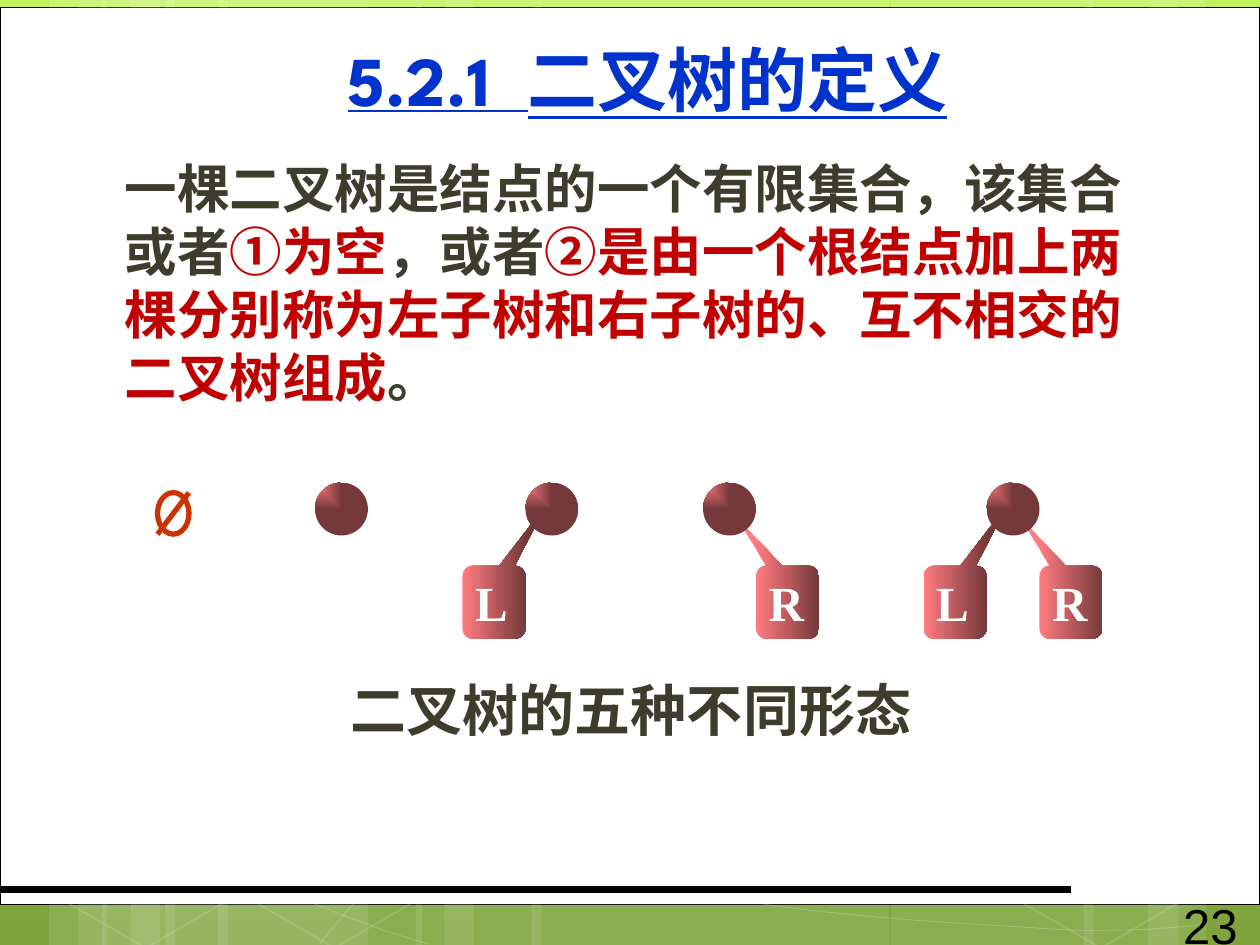
from lxml import etree
from pptx import Presentation
from pptx.dml.color import RGBColor
from pptx.enum.shapes import MSO_CONNECTOR, MSO_SHAPE
from pptx.enum.text import MSO_ANCHOR, MSO_AUTO_SIZE, PP_ALIGN
from pptx.oxml import parse_xml
from pptx.oxml.ns import nsdecls, qn
from pptx.util import Inches, Pt

RECT, OVAL, HEX = MSO_SHAPE.RECTANGLE, MSO_SHAPE.OVAL, MSO_SHAPE.HEXAGON
CALL = MSO_SHAPE.ROUNDED_RECTANGULAR_CALLOUT
LINE = MSO_CONNECTOR.STRAIGHT
MID, TOP = MSO_ANCHOR.MIDDLE, MSO_ANCHOR.TOP
CENTER, RIGHT, LEFT = PP_ALIGN.CENTER, PP_ALIGN.RIGHT, PP_ALIGN.LEFT
FIXED = MSO_AUTO_SIZE.NONE
SERIF = "Times New Roman"
INK, RED, WHITE, RUST = "3E3D2D", "C00000", "FFFFFF", "CC3300"
ROSE = [(0, "FF7C80"), (100, "76393B")]
LIME = [(0, "C2F35F"), (62, "92BE3F"), (100, "80A33D")]
NODE = 0.42
BOX_TOP, BALL_TOP = 4.49, 3.83
SIDES = {"L": ((0.819, -1.318, 0.167), 0.46), "R": ((-0.83, -1.188, 0.167), 0.48)}
STRIPES = [(1.31, 1.61), (0.39, 0.46), (0.62, 0.77), (1.73, 1.62), (0.81, 0.46),
           (1.04, 0.77), (7.07, 1.61), (9.11, 0.46), (8.6, 0.76), (4.22, 2.84),
           (3.3, 0.46), (3.53, 0.77)]
CURVES = [
    [(0.36, 6.17), (1.47, 6.72), (2.58, 7.27), (3.39, 7.49)],
    [(0.37, 5.78), (0.66, 5.89), (0.95, 6), (1.49, 6.16), (2.02, 6.31),
     (2.82, 6.56), (3.59, 6.73), (4.36, 6.9), (5.33, 7.08), (6.09, 7.18),
     (6.85, 7.29), (7.67, 7.33), (8.16, 7.36), (8.64, 7.4), (8.77, 7.38),
     (9.01, 7.38), (9.24, 7.37), (9.41, 7.35), (9.58, 7.34)],
    [(2.54, 7.49), (2.7, 7.29), (2.86, 7.09), (3.09, 6.91)],
]


def color(text):
    """Turn a hex string into a colour."""
    return RGBColor.from_string(text)


def fade(part, alpha):
    """Give the colours under an element an opacity in percent."""
    for tone in part.iter(qn("a:srgbClr")):
        etree.SubElement(tone, qn("a:alpha")).set("val", str(alpha * 1000))


def blend(fill, props, stops, way):
    """Fill with a gradient; way is its direction element."""
    fill.solid()
    marks = "".join(f'<a:gs pos="{at * 1000}"><a:srgbClr val="{tone}"/></a:gs>'
                    for at, tone in stops)
    grad = parse_xml(f'<a:gradFill {nsdecls("a")} rotWithShape="1">'
                     f'<a:gsLst>{marks}</a:gsLst>{way}</a:gradFill>')
    props.replace(props.find(qn("a:solidFill")), grad)


def style(shape, fill=None, line=None, width=1):
    """Set plain fill and line without a shadow."""
    shape.shadow.inherit = False
    if fill:
        shape.fill.solid()
        shape.fill.fore_color.rgb = color(fill)
    else:
        shape.fill.background()
    if line:
        shape.line.color.rgb = color(line)
        shape.line.width = Pt(width)
    else:
        shape.line.fill.background()


def add_shape(shapes, kind, x, y, w, h, fill=None, line=None, width=1):
    """Add a styled preset shape."""
    shape = shapes.add_shape(kind, Inches(x), Inches(y), Inches(w), Inches(h))
    style(shape, fill, line, width)
    return shape


def add_line(shapes, x1, y1, x2, y2, tone, width):
    """Add a straight line."""
    line = shapes.add_connector(LINE, Inches(x1), Inches(y1), Inches(x2), Inches(y2))
    line.line.color.rgb = color(tone)
    line.line.width = Pt(width)
    etree.SubElement(line._element.spPr, qn("a:effectLst"))


def add_curve(shapes, points):
    """Add a faint line through a chain of cubic arcs."""
    dots = []
    for i in range(0, len(points) - 1, 3):
        arc = points[i:i + 4]
        for step in range(1, 9):
            t = step / 8
            parts = ((1 - t) ** 3, 3 * t * (1 - t) ** 2, 3 * t * t * (1 - t), t ** 3)
            dots.append(tuple(Inches(sum(k * p[axis] for k, p in zip(parts, arc)))
                              for axis in (0, 1)))
    x, y = points[0]
    pen = shapes.build_freeform(Inches(x), Inches(y))
    pen.add_line_segments(dots, close=False)
    curve = pen.convert_to_shape()
    style(curve, None, WHITE, 0.5)
    fade(curve._element.spPr, 20)


def write(shape, runs, size, font=SERIF, bold=True, align=CENTER, anchor=TOP,
          wrap=True):
    """Write one paragraph of (text, colour) runs."""
    frame = shape.text_frame
    frame.auto_size, frame.word_wrap = FIXED, wrap
    frame.vertical_anchor = anchor
    par = frame.paragraphs[0]
    par.alignment = align
    for text, tone in runs:
        run = par.add_run()
        run.text = text
        run.font.size, run.font.name, run.font.bold = Pt(size), font, bold
        run.font.color.rgb = color(tone)
    return par


def add_text(shapes, x, y, w, h, runs, size, **look):
    """Add a text box."""
    box = shapes.add_textbox(Inches(x), Inches(y), Inches(w), Inches(h))
    write(box, runs, size, **look)


def move(shape, x, y, w, h):
    """Place a shape and bring it to the front."""
    shape.left, shape.top = Inches(x), Inches(y)
    shape.width, shape.height = Inches(w), Inches(h)
    shape._element.getparent().append(shape._element)


def add_tree(shapes, ball_x, **kids):
    """Add a root ball with its subtree boxes."""
    group = shapes.add_group_shape().shapes if kids else shapes
    for side, x in kids.items():
        box = add_shape(group, CALL, x, BOX_TOP, 0.5, 0.58)
        for i, value in enumerate(SIDES[side][0]):
            box.adjustments[i] = value
        blend(box.fill, box._element.spPr, ROSE, '<a:lin ang="0" scaled="1"/>')
    ball = add_shape(group, OVAL, ball_x, BALL_TOP, NODE, NODE)
    blend(ball.fill, ball._element.spPr, ROSE,
          '<a:path path="rect"><a:fillToRect r="100000" b="100000"/></a:path>')
    for side, x in kids.items():
        add_text(group, x, BOX_TOP, SIDES[side][1], 0.57, [(side, WHITE)], 28,
                 anchor=MID, wrap=False)


def add_back(slide):
    """Draw the green ground, the white panel and the faint pattern."""
    fill = slide.background.fill
    fill.solid()
    props = slide._element.find(".//" + qn("p:bgPr"))
    blend(fill, props, LIME, '<a:lin ang="5400000" scaled="0"/>')
    shapes = slide.shapes
    add_shape(shapes, RECT, 0, 0.06, 10, 7.12, WHITE, "000000", 0.5)
    group = shapes.add_group_shape().shapes
    for x, w in STRIPES:
        fade(add_shape(group, RECT, x, 0, w, 7.5, WHITE)._element.spPr, 10)
    for points in CURVES:
        add_curve(group, points)
    for x in (0.41, 1.91, 7.99):
        cell = add_shape(group, HEX, x, 5.92, 1.61, 1.52, None, WHITE)
        cell.rotation = 30
        cell.adjustments[0], cell.adjustments[1] = 0.285, 1.155
        fade(cell._element.spPr, 12)
    add_line(shapes, 0, 7.06, 8.5, 7.06, "000000", 4.5)


def add_words(slide):
    """Fill the title and body and add the caption and page number."""
    title, body = slide.placeholders
    move(title, 1.3, 0, 7.68, 1.25)
    par = write(title, [("5.2.1  二叉树的定义", "0033CC")], 40, "League Spartan",
                anchor=MID, wrap=False)
    par.runs[0].font.underline = True
    frame = title.text_frame
    frame.margin_left = frame.margin_right = 0
    frame.margin_top = frame.margin_bottom = 0
    move(body, 0.51, 1.19, 8.7, 2.8)
    par = write(body, [
        ("一棵二叉树是结点的一个有限集合，该集合或者", INK), ("①为空", RED),
        ("，或者", INK),
        ("②是由一个根结点加上两棵分别称为左子树和右子树的、互不相交的二叉树组成", RED),
        ("。", INK)], 30, align=LEFT)
    par.space_before = Pt(6)
    props = par._p.get_or_add_pPr()
    props.set("marL", str(Inches(0.38)))
    props.set("indent", "0")
    etree.SubElement(props, qn("a:buNone"))
    add_text(slide.shapes, 1.51, 5.31, 7, 0.63, [("二叉树的五种不同形态", INK)], 32)
    add_text(slide.shapes, 8.75, 7.06, 1.17, 0.44, [("23", "000000")], 28,
             font="Arial", bold=False, align=RIGHT)


def main():
    """Build the slide."""
    deck = Presentation()
    deck.slide_width, deck.slide_height = Inches(10), Inches(7.5)
    slide = deck.slides.add_slide(deck.slide_layouts[1])
    shapes = slide.shapes
    add_back(slide)
    add_words(slide)
    add_shape(shapes, OVAL, 1.25, 3.91, 0.25, 0.33, None, RUST, 3)
    add_line(shapes, 1.5, 3.91, 1.25, 4.24, RUST, 3)
    add_tree(shapes, 2.5)
    add_tree(shapes, 4.17, L=3.67)
    add_tree(shapes, 5.58, R=6)
    add_tree(shapes, 7.83, R=8.25, L=7.33)
    deck.save("out.pptx")


if __name__ == "__main__":
    main()
